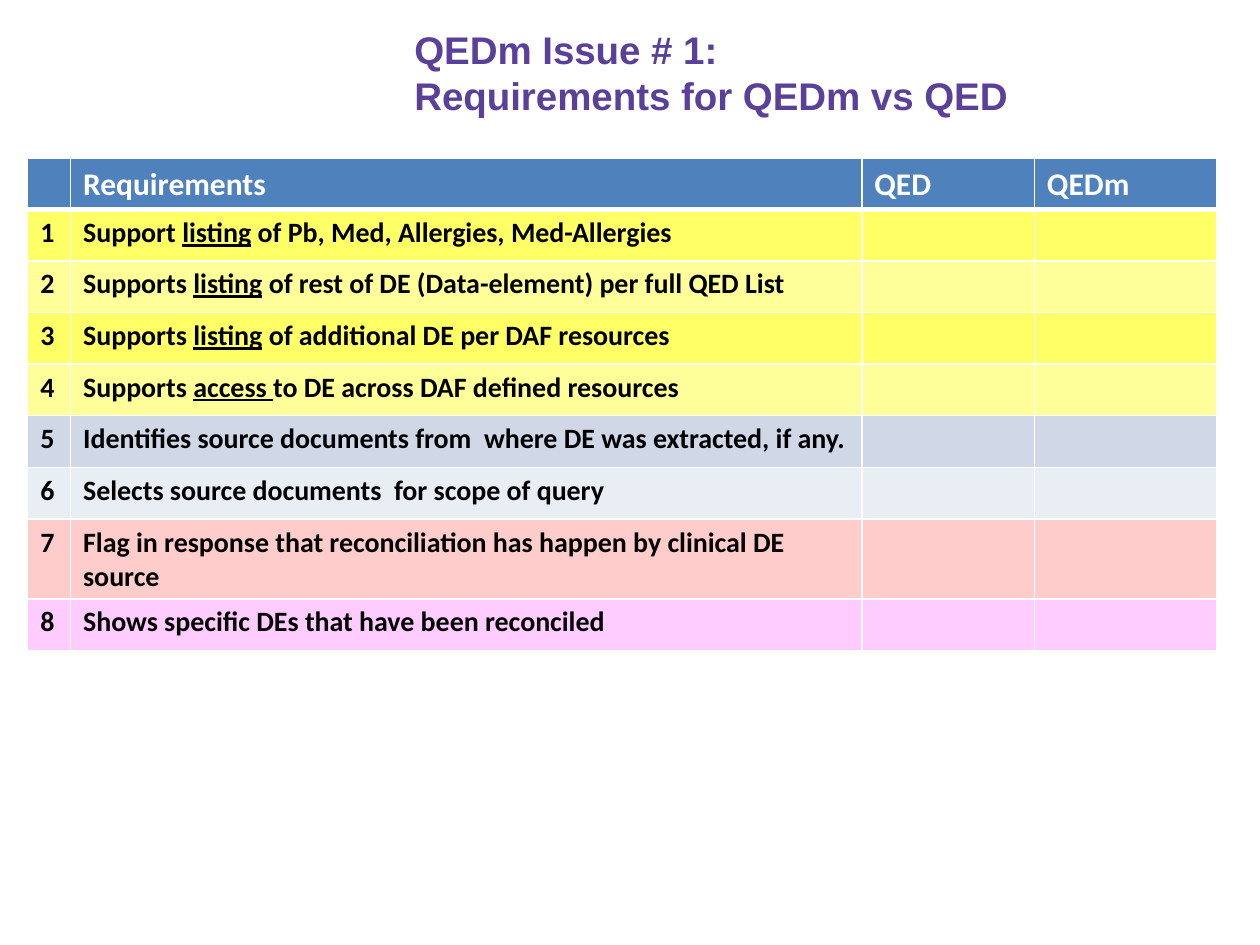
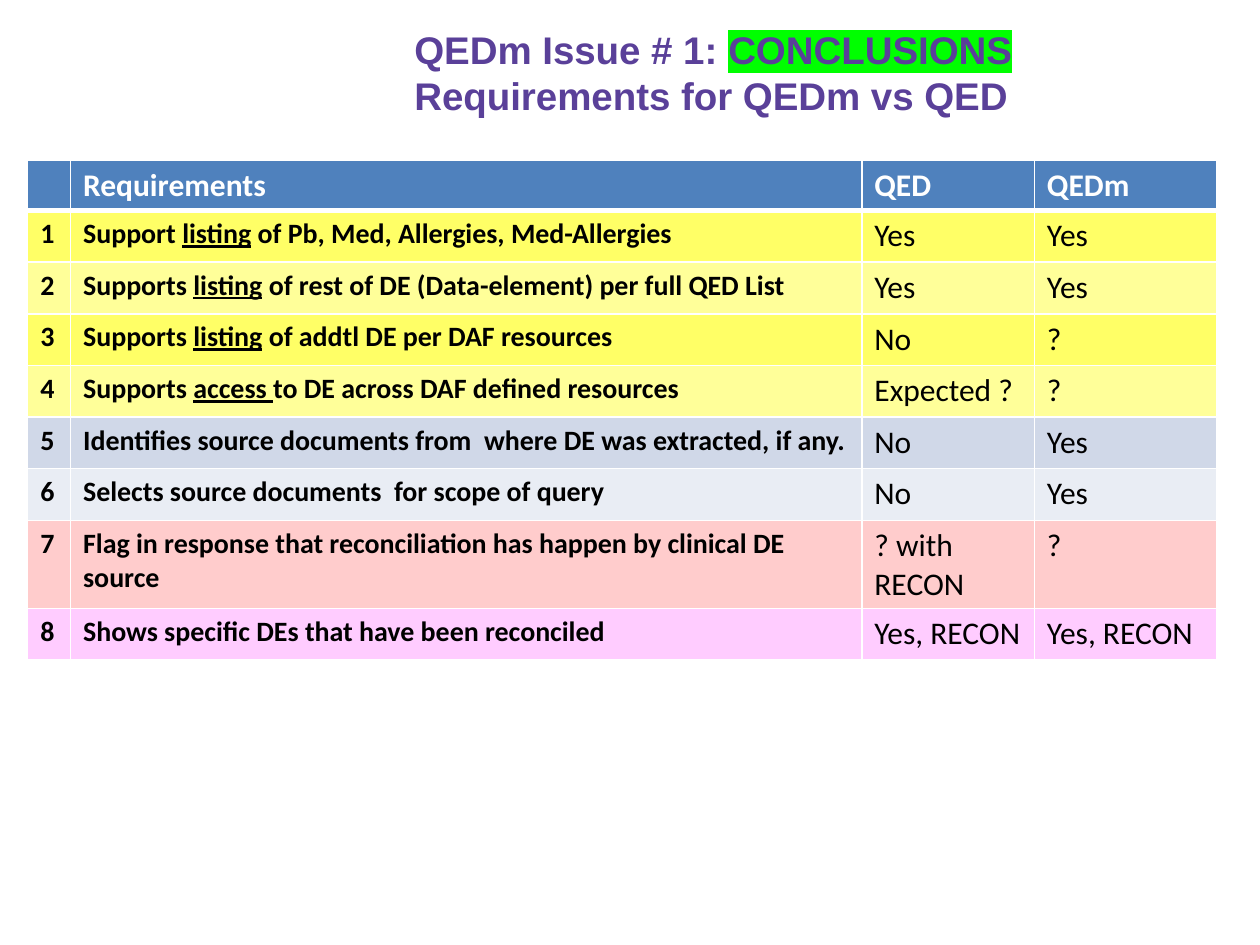
from dataclasses import dataclass

import pptx
import pptx.dml.color
import pptx.enum.text
import pptx.oxml
import pptx.oxml.ns
import pptx.util
from pptx.util import Inches


@dataclass(frozen=True)
class Theme:
    title_font: str = "Arial"
    table_font: str = "Calibri"
    title_size: int = 22
    header_size: int = 18
    requirement_size: int = 16
    answer_size: int = 18
    title: str = "5A4099"
    highlight: str = "00FF00"
    header_fill: str = "4F81BD"
    white: str = "FFFFFF"
    black: str = "000000"
    row_fills: tuple = ("FFFF66", "FFFF99", "FFFF66", "FFFF99",
                        "D0D8E8", "E9EDF4", "FFCCCC", "FFCCFF")


THEME = Theme()
COLUMN_WIDTHS = (0.34, 6.28, 1.37, 1.45)
HEADER_HEIGHT = 0.4
ROW_HEIGHT = 0.41
GRID_WIDTH = 1
HEADER_RULE_WIDTH = 3

HEADINGS = ("", "Requirements", "QED", "QEDm")
# Underscores enclose the underlined words.
REQUIREMENTS = (
    "Support _listing_ of Pb, Med, Allergies, Med-Allergies",
    "Supports _listing_ of rest of DE (Data-element) per full QED List",
    "Supports _listing_ of {additional} DE per DAF resources",
    "Supports _access _to DE across DAF defined resources",
    "Identifies source documents from  where DE was extracted, if any.",
    "Selects source documents  for scope of query",
    "Flag in response that reconciliation has happen by clinical DE source",
    "Shows specific DEs that have been reconciled",
)
OPEN_ANSWERS = (("", ""),) * len(REQUIREMENTS)
CONCLUDED_ANSWERS = (
    ("Yes", "Yes"), ("Yes", "Yes"), ("No", "?"), ("Expected ?", "?"),
    ("No", "Yes"), ("No", "Yes"), ("? with RECON", "?"),
    ("Yes, RECON", "Yes, RECON"),
)


def style_font(font, name, size, color, bold):
    font.name = name
    font.size = pptx.util.Pt(size)
    font.color.rgb = pptx.dml.color.RGBColor.from_string(color)
    font.bold = bold


def highlight_run(run):
    highlight = pptx.oxml.parse_xml(
        f'<a:highlight {pptx.oxml.ns.nsdecls("a")}>'
        f'<a:srgbClr val="{THEME.highlight}"/></a:highlight>')
    run.font.fill._xPr.find(pptx.oxml.ns.qn("a:solidFill")).addnext(highlight)


def add_title(slide, status=""):
    """Add the two-line title, with an optional highlighted status."""
    box = slide.shapes.add_textbox(Inches(3.19), Inches(0.18),
                                   Inches(6.63), Inches(0.79))
    text_frame = box.text_frame
    text_frame.word_wrap = True
    text_frame.vertical_anchor = pptx.enum.text.MSO_ANCHOR.MIDDLE
    paragraph = text_frame.paragraphs[0]
    paragraph.text = "QEDm Issue # 1: "
    if status:
        paragraph.add_run().text = status
    paragraph.add_line_break()
    paragraph.add_run().text = "Requirements for QEDm vs QED"
    for run in paragraph.runs:
        style_font(run.font, THEME.title_font, THEME.title_size,
                   THEME.title, True)
        if status and run.text == status:
            highlight_run(run)


def set_borders(cell, top, bottom):
    """Draw white cell edges; top and bottom are widths in points."""
    properties = cell._tc.get_or_add_tcPr()
    widths = {"L": GRID_WIDTH, "R": GRID_WIDTH, "T": top, "B": bottom}
    for position, (side, width) in enumerate(widths.items()):
        properties.insert(position, pptx.oxml.parse_xml(
            f'<a:ln{side} {pptx.oxml.ns.nsdecls("a")} '
            f'w="{pptx.util.Pt(width)}"><a:solidFill>'
            f'<a:srgbClr val="{THEME.white}"/></a:solidFill></a:ln{side}>'))


def fill_cell(cell, text, fill, size, color, bold):
    cell.fill.solid()
    cell.fill.fore_color.rgb = pptx.dml.color.RGBColor.from_string(fill)
    paragraph = cell.text_frame.paragraphs[0]
    style_font(paragraph.font, THEME.table_font, size, color, bold)
    if not text:
        return
    for position, part in enumerate(text.split("_")):
        run = paragraph.add_run()
        run.text = part
        style_font(run.font, THEME.table_font, size, color, bold)
        if position % 2:
            run.font.underline = True


def add_requirements_table(slide, top, additional, answers):
    row_count = len(REQUIREMENTS) + 1
    height = HEADER_HEIGHT + ROW_HEIGHT * len(REQUIREMENTS)
    table = slide.shapes.add_table(
        row_count, len(HEADINGS), Inches(0.22), Inches(top),
        Inches(sum(COLUMN_WIDTHS)), Inches(height)).table
    table.horz_banding = False
    for column, width in zip(table.columns, COLUMN_WIDTHS):
        column.width = Inches(width)
    for index, row in enumerate(table.rows):
        row.height = Inches(ROW_HEIGHT if index else HEADER_HEIGHT)
        for cell in row.cells:
            set_borders(cell,
                        HEADER_RULE_WIDTH if index == 1 else GRID_WIDTH,
                        HEADER_RULE_WIDTH if index == 0 else GRID_WIDTH)

    for cell, heading in zip(table.rows[0].cells, HEADINGS):
        fill_cell(cell, heading, THEME.header_fill, THEME.header_size,
                  THEME.white, True)
    records = zip(REQUIREMENTS, answers, THEME.row_fills)
    for number, (requirement, row_answers, fill) in enumerate(records, 1):
        texts = (str(number), requirement.format(additional=additional),
                 *row_answers)
        for column, text in enumerate(texts):
            is_answer = column >= 2
            size = THEME.answer_size if is_answer else THEME.requirement_size
            fill_cell(table.cell(number, column), text, fill, size,
                      THEME.black, not is_answer)


def main():
    presentation = pptx.Presentation()
    presentation.slide_width = Inches(10)
    presentation.slide_height = Inches(7.5)
    blank_layout = presentation.slide_layouts[6]

    issue_slide = presentation.slides.add_slide(blank_layout)
    add_title(issue_slide)
    add_requirements_table(issue_slide, 1.26, "additional", OPEN_ANSWERS)

    conclusions_slide = presentation.slides.add_slide(blank_layout)
    add_requirements_table(conclusions_slide, 1.27, "addtl",
                           CONCLUDED_ANSWERS)
    add_title(conclusions_slide, "CONCLUSIONS")

    presentation.save("out.pptx")


if __name__ == "__main__":
    main()
